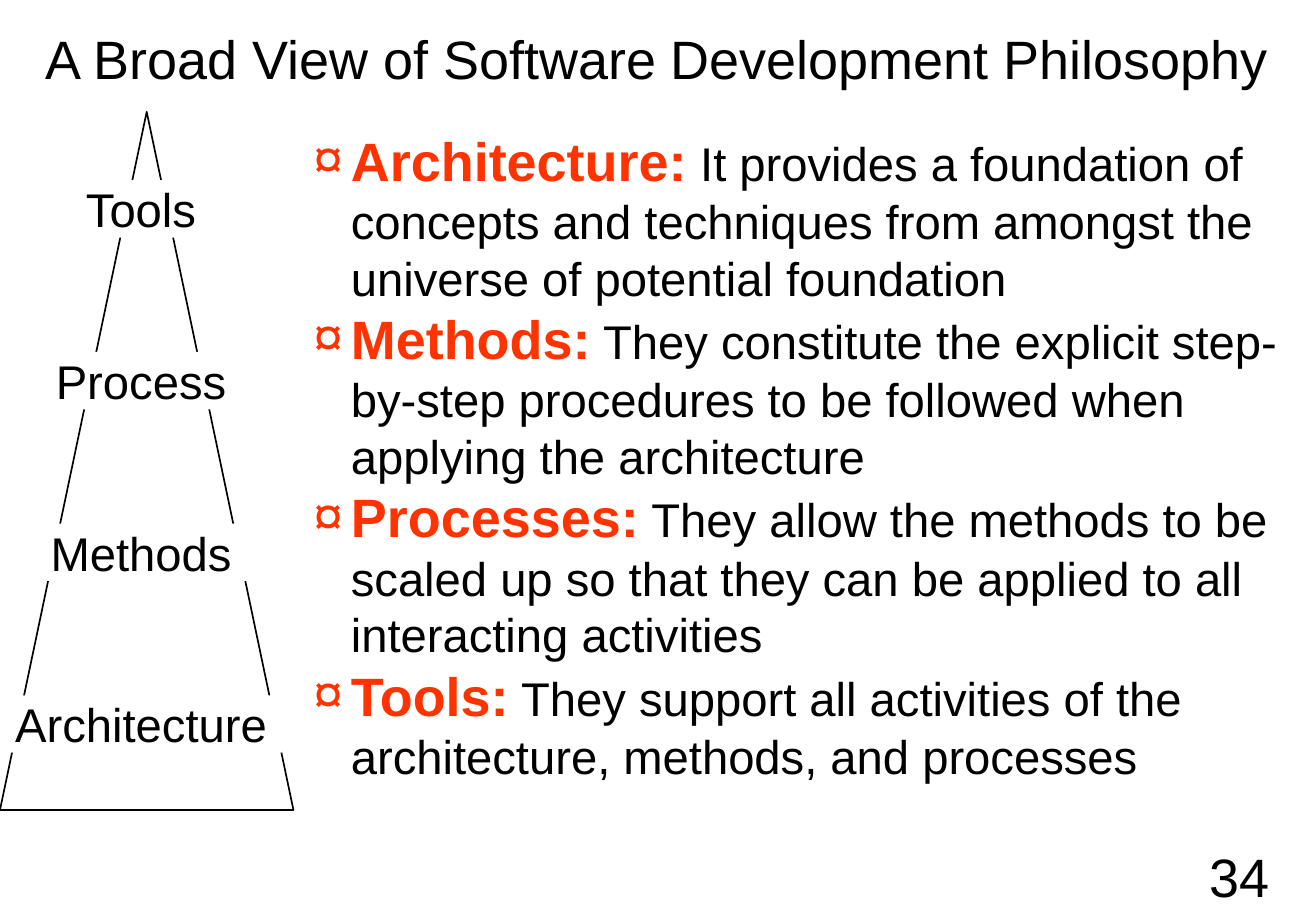
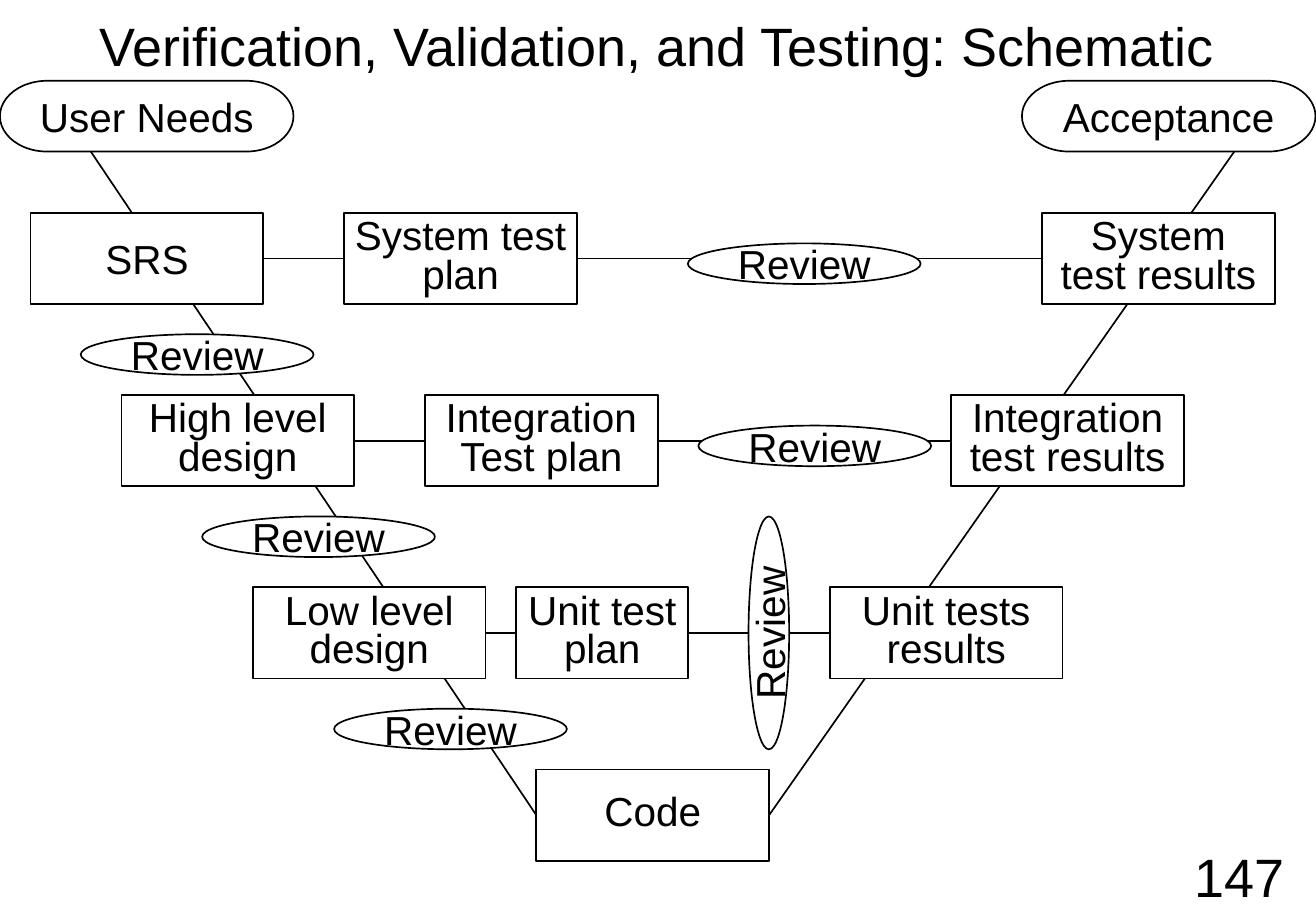
from pptx import Presentation
from pptx.dml.color import RGBColor
from pptx.enum import shapes, text
from pptx.oxml import parse_xml
from pptx.oxml.ns import nsdecls
from pptx.util import Cm, Pt

FONT = "Arial"
INK, PAPER, ACCENT = "000000", "FFFFFF", "FF3300"
LINE_WIDTH = Pt(1)
SHAPE = shapes.MSO_SHAPE
rgb = RGBColor.from_string


def write(paragraph, wording, size, color=INK, bold=False):
    """Add one formatted run to the paragraph."""
    run = paragraph.add_run()
    run.text = wording
    run.font.name = FONT
    run.font.size = Pt(size)
    run.font.bold = bold
    run.font.color.rgb = rgb(color)


def draw_box(slide, kind, left, top, width, height, lines=(), size=24,
             filled=True, outlined=True, spacing=1.0):
    """Add a shape measured in centimetres, with one paragraph per line."""
    shape = slide.shapes.add_shape(kind, Cm(left), Cm(top), Cm(width), Cm(height))
    shape.shadow.inherit = False
    if filled:
        shape.fill.solid()
        shape.fill.fore_color.rgb = rgb(PAPER)
    else:
        shape.fill.background()
    if outlined:
        shape.line.color.rgb = rgb(INK)
        shape.line.width = LINE_WIDTH
    else:
        shape.line.fill.background()
    frame = shape.text_frame
    frame.word_wrap = False
    frame.margin_left = frame.margin_right = 0
    frame.vertical_anchor = text.MSO_ANCHOR.MIDDLE
    for index, line in enumerate(lines):
        paragraph = frame.add_paragraph() if index else frame.paragraphs[0]
        paragraph.alignment = text.PP_ALIGN.CENTER
        paragraph.line_spacing = spacing
        write(paragraph, line, size)
    return shape


presentation = Presentation()
presentation.slide_width, presentation.slide_height = Cm(27.53), Cm(19.05)

# Title and page number, shared by both slides
slides = []
for layout, title, title_height, number in [
    (1, "A Broad View of Software Development Philosophy", 2.44, "34"),
    (5, "Verification, Validation, and Testing: Schematic", 1.9, "147"),
]:
    slide = presentation.slides.add_slide(presentation.slide_layouts[layout])
    heading = slide.shapes.title
    heading.left, heading.top = Cm(0), Cm(0)
    heading.width, heading.height = Cm(27.51), Cm(title_height)
    page = slide.shapes.add_textbox(Cm(24.34), Cm(17.57), Cm(3.18), Cm(1.48))
    for shape, wording in [(heading, title), (page, number)]:
        frame = shape.text_frame
        frame.auto_size = text.MSO_AUTO_SIZE.NONE
        frame.vertical_anchor = text.MSO_ANCHOR.MIDDLE
        frame.paragraphs[0].alignment = text.PP_ALIGN.CENTER
        write(frame.paragraphs[0], wording, 32)
    page.text_frame.word_wrap = False
    slides.append(slide)
philosophy, schematic = slides

# Philosophy: definitions
body = philosophy.placeholders[1]
body.left, body.top, body.width, body.height = Cm(6.55), Cm(2.54), Cm(20.96), Cm(16.51)
frame = body.text_frame
frame.auto_size = text.MSO_AUTO_SIZE.NONE
frame.margin_left = frame.margin_right = 0
definitions = [
    ("Architecture:", " It provides a foundation of concepts and techniques "
     "from amongst the universe of potential foundation"),
    ("Methods:", " They constitute the explicit step-by-step procedures "
     "to be followed when applying the architecture"),
    ("Processes:", " They allow the methods to be scaled up so that they "
     "can be applied to all interacting activities"),
    ("Tools:", " They support all activities of the architecture, "
     "methods, and processes"),
]
for index, (term, meaning) in enumerate(definitions):
    paragraph = frame.add_paragraph() if index else frame.paragraphs[0]
    properties = paragraph._p.get_or_add_pPr()
    properties.set("marL", str(Cm(0.79)))
    properties.set("indent", str(-Cm(0.79)))
    for bullet in [
        f'<a:buClr {nsdecls("a")}><a:srgbClr val="{ACCENT}"/></a:buClr>',
        f'<a:buFont {nsdecls("a")} typeface="{FONT}"/>',
        f'<a:buChar {nsdecls("a")} char="¤"/>',
    ]:
        properties.append(parse_xml(bullet))
    paragraph.space_before = Pt(0)
    write(paragraph, term, 32, ACCENT, bold=True)
    write(paragraph, meaning, 28)

# Philosophy: pyramid with labels at equal steps
draw_box(philosophy, SHAPE.ISOSCELES_TRIANGLE, 0, 2.34, 6.14, 14.6, filled=False)
for level, label in enumerate(["Tools", "Process", "Methods", "Architecture"]):
    draw_box(philosophy, SHAPE.RECTANGLE, 0, 3.77 + 3.59 * level, 5.9, 1.2,
             [label], size=28, outlined=False)

# Schematic: connectors lie behind the boxes and are joined once these exist
connectors = []
for _ in range(5):
    connector = schematic.shapes.add_connector(
        shapes.MSO_CONNECTOR.STRAIGHT, Cm(0), Cm(0), Cm(0), Cm(0))
    connector.line.color.rgb = rgb(INK)
    connector.line.width = LINE_WIDTH
    connector._element.spPr.append(parse_xml(f'<a:effectLst {nsdecls("a")}/>'))
    connectors.append(connector)
*row_links, design_link, result_link = connectors

TERMINAL_TOP, TERMINAL_HEIGHT = 1.69, 1.48
BOX_WIDTH, BOX_HEIGHT, REVIEW_HEIGHT = 4.87, 1.91, 0.85
for left, label in [(0, "User Needs"), (21.38, "Acceptance")]:
    draw_box(schematic, SHAPE.FLOWCHART_TERMINATOR, left, TERMINAL_TOP, 6.14,
             TERMINAL_HEIGHT, [label], filled=False)

# Each row: top, then left, width and lines of phase, plan and results
rows = [
    (4.45, [(0.64, BOX_WIDTH, ["SRS"]),
            (7.2, BOX_WIDTH, ["System test", "plan"]),
            (21.8, BOX_WIDTH, ["System", "test results"])]),
    (8.26, [(2.54, BOX_WIDTH, ["High level", "design"]),
            (8.89, BOX_WIDTH, ["Integration", "Test plan"]),
            (19.9, BOX_WIDTH, ["Integration", "test results"])]),
    (12.28, [(5.29, BOX_WIDTH, ["Low level", "design"]),
             (10.8, 3.6, ["Unit test", "plan"]),
             (17.36, BOX_WIDTH, ["Unit tests", "results"])]),
]
for (top, boxes), link in zip(rows, row_links):
    phase, plan, results = [
        draw_box(schematic, SHAPE.RECTANGLE, left, top, width, BOX_HEIGHT, lines,
                 spacing=0.8 if len(lines) > 1 else 1.0)
        for left, width, lines in boxes
    ]
    link.begin_connect(phase, 3)
    link.end_connect(results, 1)

code = draw_box(schematic, SHAPE.RECTANGLE, 11.22, 16.09, BOX_WIDTH, BOX_HEIGHT,
                ["Code"], spacing=0.8)
for link, side, end_x in [(design_link, 1, 1.9), (result_link, 3, 25.82)]:
    link.begin_connect(code, side)
    link.end_x, link.end_y = Cm(end_x), Cm(TERMINAL_TOP + TERMINAL_HEIGHT)

# One review below each phase and one between each plan and its results
reviews = [(1.69, 14.39, 0.64, 0), (4.23, 14.61, 0.64, 0), (6.99, 13.65, 0.53, 270)]
for (top, _), (phase_left, plan_left, drop, rotation) in zip(rows, reviews):
    for left, review_top, angle in [(phase_left, top + 2.54, 0),
                                    (plan_left, top + drop, rotation)]:
        review = draw_box(schematic, SHAPE.OVAL, left, review_top, BOX_WIDTH,
                          REVIEW_HEIGHT, ["Review"])
        review.rotation = angle

presentation.save("out.pptx")
